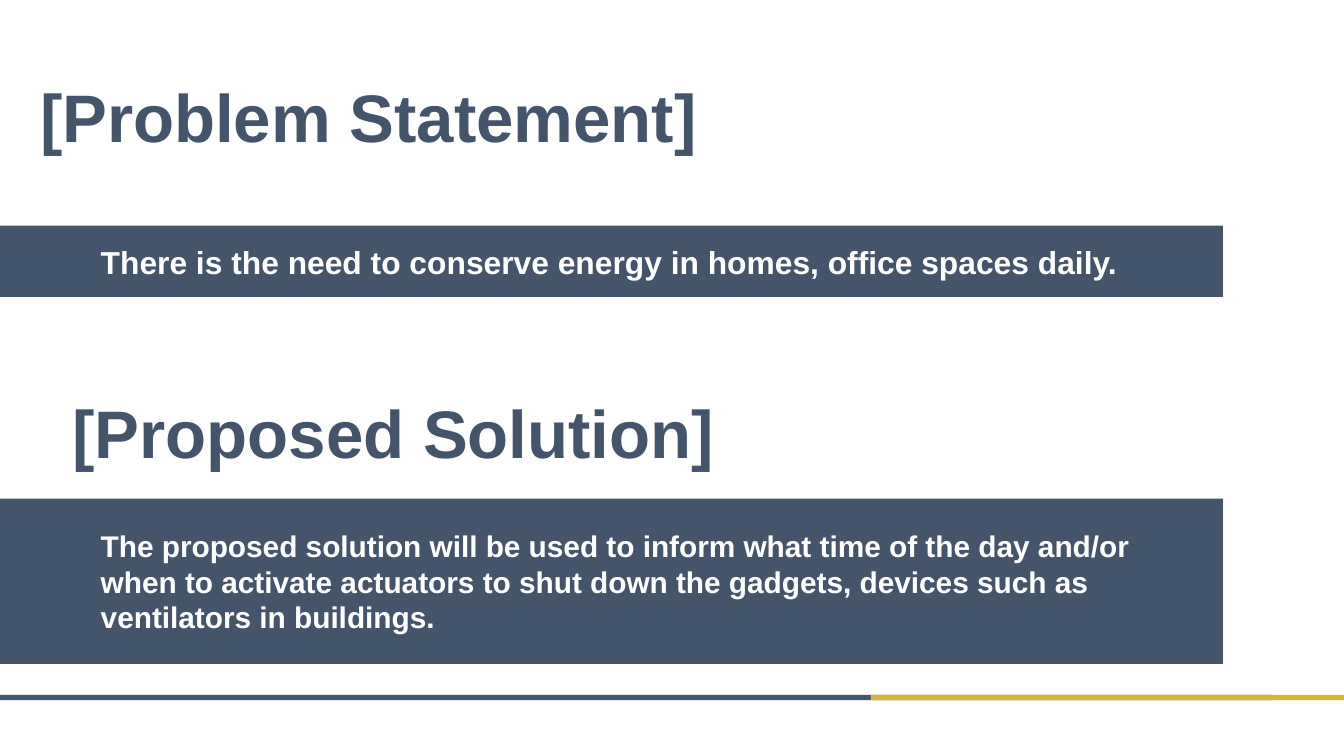
from pptx import Presentation
from pptx.dml.color import RGBColor
from pptx.enum import shapes, text
from pptx.util import Inches, Pt

COLORS = {"slate": "44546A", "gold": "DCB434", "white": "FFFFFF"}

# Widescreen 16:9 slide
deck = Presentation()
deck.slide_width = Inches(10)
deck.slide_height = Inches(10 * 9 / 16)
slide = deck.slides.add_slide(deck.slide_layouts[6])


def add_bar(left, top, width, height, color):
    bar = slide.shapes.add_shape(
        shapes.MSO_SHAPE.RECTANGLE,
        Inches(left), Inches(top), Inches(width), Inches(height))
    bar.shadow.inherit = False
    bar.fill.solid()
    bar.fill.fore_color.rgb = RGBColor.from_string(COLORS[color])
    bar.line.fill.background()
    return bar


def write(shape, words, *, size, color, left_inset=0.1, right_inset=0.1):
    frame = shape.text_frame
    frame.word_wrap = True
    frame.vertical_anchor = text.MSO_ANCHOR.MIDDLE
    frame.margin_left, frame.margin_right = Inches(left_inset), Inches(right_inset)
    frame.margin_top = frame.margin_bottom = Inches(0.05)
    paragraph = frame.paragraphs[0]
    paragraph.alignment = text.PP_ALIGN.LEFT
    run = paragraph.add_run()
    run.text = words
    run.font.name = "Arial"
    run.font.size = Pt(size)
    run.font.bold = True
    run.font.color.rgb = RGBColor.from_string(COLORS[color])


# Footer stripe: gold overlaps the end of slate
for left, width, color in [(0, 9.47, "slate"), (6.48, 3.52, "gold")]:
    add_bar(left, 5.17, width, 0.04, color)

# Statement bands
statements = [
    (1.68, 0.53, 17,
     "There is the need to conserve energy in homes, office spaces daily."),
    (3.71, 1.23, 16,
     "The proposed solution will be used to inform what time of the day and/or "
     "when to activate actuators to shut down the gadgets, devices such as "
     "ventilators in buildings."),
]
for top, height, size, statement in statements:
    band = add_bar(0, top, 9.1, height, "slate")
    write(band, statement, size=size, color="white",
          left_inset=0.75, right_inset=0.28)

# Headings
headings = [
    (0.2, 0.66, 8.9, 0.4, 0.1, "[Problem Statement]"),
    (0.3, 2.81, 8.7, 0.8, 0.24, "[Proposed Solution]"),
]
for left, top, width, height, inset, title in headings:
    heading = slide.shapes.add_textbox(
        Inches(left), Inches(top), Inches(width), Inches(height))
    write(heading, title, size=36, color="slate", left_inset=inset)

deck.save("out.pptx")
